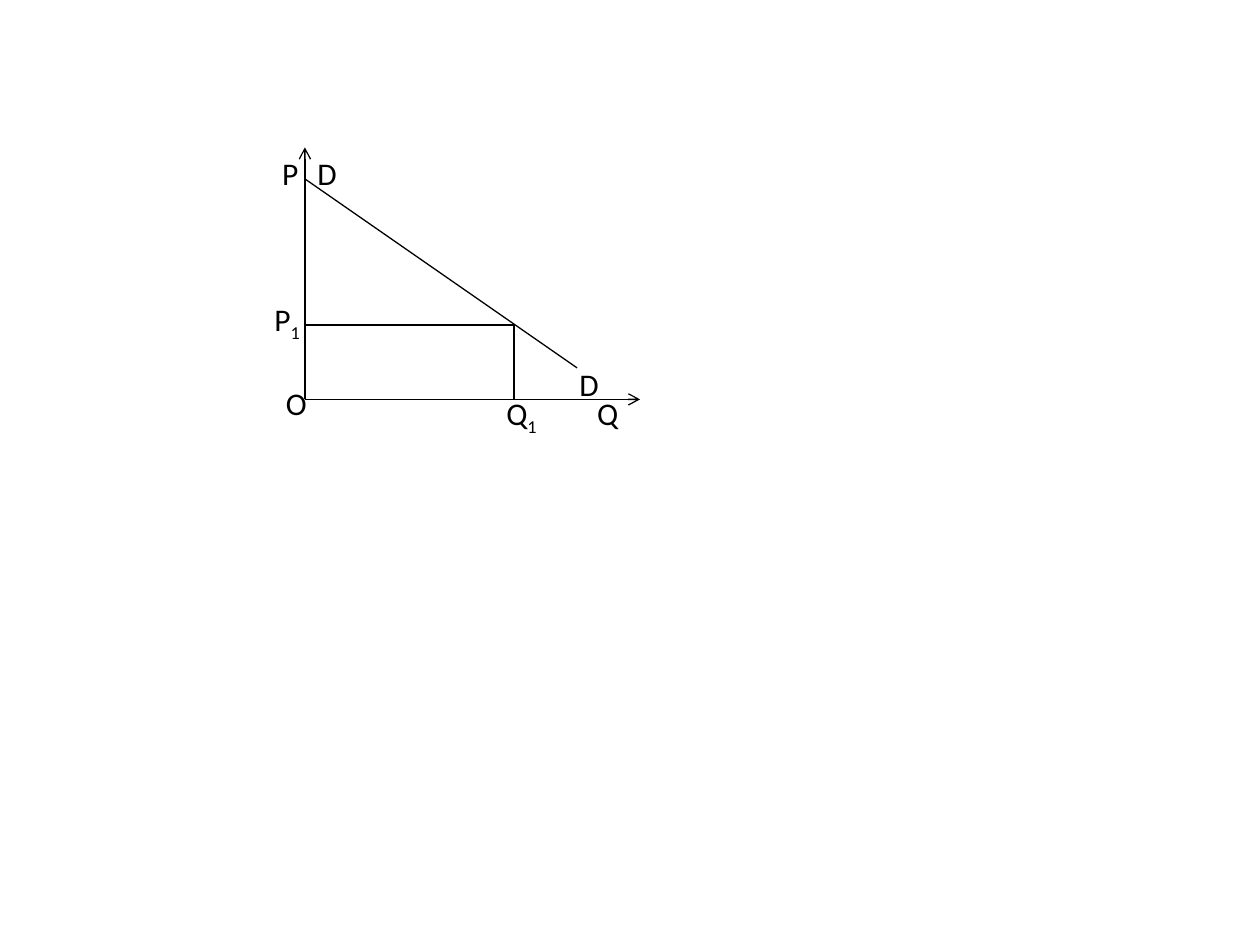
"""Draw a demand curve with its price and quantity marked on the axes."""
from pptx import Presentation
from pptx.dml.color import RGBColor
from pptx.enum.shapes import MSO_CONNECTOR
from pptx.enum.text import MSO_AUTO_SIZE
from pptx.oxml.ns import qn
from pptx.util import Inches, Pt
from lxml.etree import SubElement

COLORS = {"ink": "000000"}
FONT = "Calibri"
ORIGIN_X, ORIGIN_Y = 2.42, 3.17
PRICE_Y, QUANTITY_X = 2.58, 4.08

LINES = [
    ((ORIGIN_X, ORIGIN_Y), (ORIGIN_X, 1.17), True),
    ((ORIGIN_X, ORIGIN_Y), (5.08, ORIGIN_Y), True),
    ((ORIGIN_X, 1.42), (4.58, 2.92), False),
    ((ORIGIN_X, PRICE_Y), (QUANTITY_X, PRICE_Y), False),
    ((QUANTITY_X, PRICE_Y), (QUANTITY_X, ORIGIN_Y), False),
]
LABELS = [
    ("D", "", 2.42, 1.17, 0.36),
    ("D", "", 4.5, 2.85, 0.36),
    ("Q", "", 4.64, 3.08, 0.37),
    ("Q", "1", 3.92, 3.08, 0.46),
    ("O", "", 2.17, 3, 0.37),
    ("P", "1", 2.08, 2.33, 0.42),
    ("P", "", 2.14, 1.17, 0.33),
]


def add_line(slide, start, end, arrow):
    """Add a thin straight line, with an open arrowhead at its end if asked."""
    points = [Inches(v) for v in (*start, *end)]
    line = slide.shapes.add_connector(MSO_CONNECTOR.STRAIGHT, *points)
    line.line.width = Pt(0.75)
    line.line.color.rgb = RGBColor.from_string(COLORS["ink"])
    if arrow:
        SubElement(line.line._get_or_add_ln(), qn("a:tailEnd"), type="arrow")
    SubElement(line._element.spPr, qn("a:effectLst"))


def add_label(slide, text, subscript, left, top, width):
    """Add a letter with an optional subscript."""
    box = slide.shapes.add_textbox(Inches(left), Inches(top), Inches(width), Inches(0.4))
    tf = box.text_frame
    tf.word_wrap = False
    tf.auto_size = MSO_AUTO_SIZE.SHAPE_TO_FIT_TEXT
    tf.text = text
    p = tf.paragraphs[0]
    if subscript:
        r = p.add_run()
        r.text = subscript
        r.font._element.set("baseline", "-25000")
    for r in p.runs:
        r.font.size = Pt(18)
        r.font.name = FONT
        r.font.color.rgb = RGBColor.from_string(COLORS["ink"])


def main():
    """Build the slide and save it."""
    prs = Presentation()
    prs.slide_width, prs.slide_height = Inches(10), Inches(7.5)
    slide = prs.slides.add_slide(prs.slide_layouts[6])
    for line in LINES:
        add_line(slide, *line)
    for label in LABELS:
        add_label(slide, *label)
    prs.save("out.pptx")


if __name__ == "__main__":
    main()
